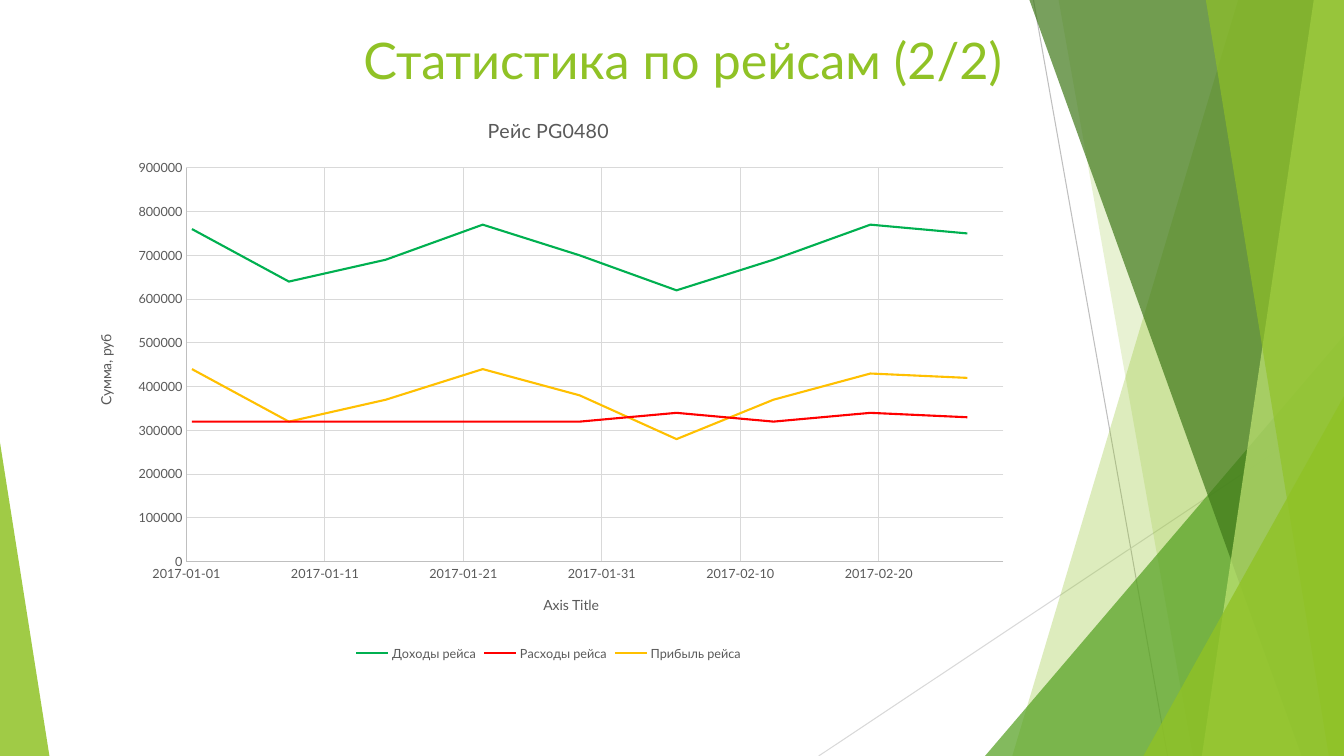
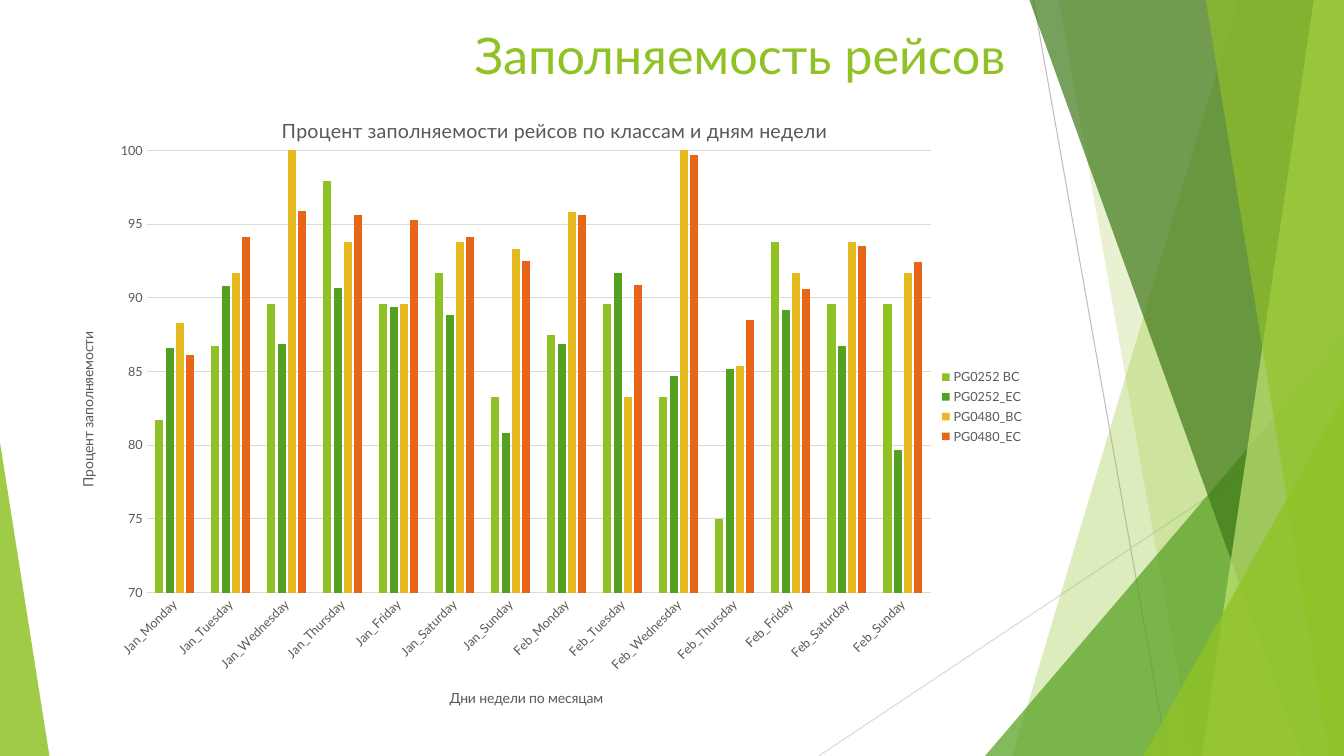
from dataclasses import dataclass

from lxml.etree import SubElement
from pptx import Presentation
from pptx.chart.data import CategoryChartData, XyChartData
from pptx.dml.color import RGBColor
from pptx.enum.chart import XL_CHART_TYPE as CT, XL_LEGEND_POSITION as LP, XL_TICK_MARK as TM
from pptx.enum.shapes import MSO_CONNECTOR as MC, MSO_SHAPE as MS
from pptx.enum.text import MSO_ANCHOR as VA, PP_ALIGN as AL
from pptx.oxml.ns import qn
from pptx.util import Inches, Pt

W, H = 13.33, 7.5


@dataclass(frozen=True)
class Theme:
    """Colours, font and type sizes of the deck."""
    font: str = "Lato"
    lime: str = "90C226"
    green: str = "54A021"
    forest: str = "3F7819"
    pale: str = "C0E474"
    gold: str = "E6B91E"
    orange: str = "E76618"
    income: str = "00B050"
    cost: str = "FF0000"
    profit: str = "FFC000"
    text: str = "595959"
    axis: str = "BFBFBF"
    grid: str = "D9D9D9"
    title: int = 36
    chart_title: int = 14
    axis_title: int = 10
    label: int = 9
    hairline: float = 0.75
    series_line: float = 1.5


T = Theme()

# Shards run from a top x to a bottom x and on to the right edge.
# Wedges are right triangles standing on the bottom edge: left, top, width, apex.
FACETS = [
    ("shard", (12.28, 10.04), T.lime, 30),
    ("shard", (10.5, 11.83), T.lime, 20),
    ("wedge", (9.77, 3.33, 3.56, 1), T.green, 72),
    ("shard", (10.21, 12.91), T.forest, 70),
    ("shard", (13.03, 11.92), T.pale, 70),
    ("shard", (11.96, 13.18), T.lime, 65),
    ("wedge", (11.34, 3.93, 1.99, 1), T.lime, 80),
    ("wedge", (0, 4.39, 0.49, 0), T.lime, 85),
]


def rgb(code):
    """Turn a hex code into a colour."""
    return RGBColor.from_string(code)


def style_font(font, size, color):
    """Apply the deck font in a size and colour."""
    font.name, font.size, font.bold = T.font, Pt(size), False
    font.color.rgb = rgb(color)


def write(tf, text, size=T.axis_title, color=T.text, align=None, anchor=None):
    """Put one formatted paragraph into a text frame."""
    p = tf.paragraphs[0]
    r = p.add_run()
    r.text = text
    style_font(r.font, size, color)
    if align is not None:
        p.alignment = align
    if anchor is not None:
        tf.vertical_anchor = anchor


def style_line(line, color, width=T.hairline):
    """Give a line its colour and width."""
    line.color.rgb = rgb(color)
    line.width = Pt(width)


def add_line(s, start, end, color):
    """Draw a thin straight line without a shadow."""
    ln = s.shapes.add_connector(MC.STRAIGHT, *map(Inches, start + end))
    style_line(ln.line, color)
    SubElement(ln._element.spPr, qn("a:effectLst"))


def add_facet(s, kind, place, color, alpha):
    """Draw one translucent shard or wedge."""
    if kind == "shard":
        top, bottom = place
        fb = s.shapes.build_freeform(Inches(top), 0, 1.0)
        corners = [(W, 0), (W, H), (bottom, H)]
        fb.add_line_segments([(Inches(x), Inches(y)) for x, y in corners], close=True)
        sp = fb.convert_to_shape()
    else:
        left, top, width, apex = place
        sp = s.shapes.add_shape(MS.ISOSCELES_TRIANGLE, *map(Inches, (left, top, width, H - top)))
        sp.adjustments[0] = apex
    sp.shadow.inherit = False
    sp.line.fill.background()
    sp.fill.solid()
    sp.fill.fore_color.rgb = rgb(color)
    clr = sp._element.spPr.find(qn("a:solidFill"))[0]
    SubElement(clr, qn("a:alpha")).set("val", str(alpha * 1000))


def add_base(prs, title, box):
    """Add a slide with the faceted backdrop and a right-aligned title."""
    s = prs.slides.add_slide(prs.slide_layouts[6])
    add_line(s, (10.25, 0), (11.58, H), T.axis)
    add_line(s, (W, 4.03), (8.12, H), T.grid)
    for facet in FACETS:
        add_facet(s, *facet)
    tf = s.shapes.add_textbox(*map(Inches, box)).text_frame
    tf.word_wrap = True
    write(tf, title, size=T.title, color=T.lime, align=AL.RIGHT, anchor=VA.TOP)
    return s


def place_part(el, **percent):
    """Fix a chart part at percentages of the chart box."""
    for old in el.findall(qn("c:layout")):
        el.remove(old)
    tx = el.find(qn("c:tx"))
    layout = el.makeelement(qn("c:layout"), {})
    el.insert(0 if tx is None else el.index(tx) + 1, layout)
    manual = SubElement(layout, qn("c:manualLayout"))
    if "w" in percent:
        SubElement(manual, qn("c:layoutTarget")).set("val", "inner")
    for key in ("x", "y"):
        SubElement(manual, qn(f"c:{key}Mode")).set("val", "edge")
    for key, value in percent.items():
        SubElement(manual, qn(f"c:{key}")).set("val", str(value / 100))


def style_axis(axis, title, at, line=None, grid=True, span=None, step=None, upright=False):
    """Format an axis: its title, labels, line, gridlines and scale."""
    axis.major_tick_mark = axis.minor_tick_mark = TM.NONE
    style_font(axis.tick_labels.font, T.label, T.text)
    if line:
        style_line(axis.format.line, line)
    else:
        axis.format.line.fill.background()
    axis.has_major_gridlines = grid
    if grid:
        style_line(axis.major_gridlines.format.line, T.grid)
    if span:
        axis.minimum_scale, axis.maximum_scale = span
    if step:
        axis.major_unit = step
    tf = axis.axis_title.text_frame
    write(tf, title)
    if upright:
        body = tf._txBody.find(qn("a:bodyPr"))
        body.set("rot", "-5400000")
        body.set("vert", "horz")
    place_part(axis.axis_title._element, x=at[0], y=at[1])


def add_chart(s, kind, box, data, title, at, plot, legend):
    """Add a chart with its title, plot area and legend in place."""
    ch = s.shapes.add_chart(kind, *map(Inches, box), data).chart
    style_font(ch.font, T.axis_title, T.text)
    ch.has_title = True
    write(ch.chart_title.text_frame, title, size=T.chart_title)
    ch.chart_title.include_in_layout = False
    place_part(ch.chart_title._element, x=at[0], y=at[1])
    place_part(ch._chartSpace.chart.plotArea, **dict(zip("xywh", plot)))
    ch.has_legend = True
    ch.legend.position = legend
    ch.legend.include_in_layout = False
    style_font(ch.legend.font, T.label, T.text)
    ch.plots[0].vary_by_categories = False
    return ch


def flight_slide(prs):
    """Build the slide with weekly income, cost and profit of a flight."""
    s = add_base(prs, "Статистика по рейсам (2/2)", (0.64, 0.24, 9.4, 0.73))
    first_day, last_day, departure = 42736, 42795, 0.4
    rows = [
        ("Доходы рейса", T.income, [760000, 640000, 690000, 770000, 700000,
                                    620000, 690000, 770000, 750000]),
        ("Расходы рейса", T.cost, [320000, 320000, 320000, 320000, 320000,
                                   340000, 320000, 340000, 330000]),
        ("Прибыль рейса", T.profit, [440000, 320000, 370000, 440000, 380000,
                                     280000, 370000, 430000, 420000]),
    ]
    data = XyChartData()
    for name, _, values in rows:
        ser = data.add_series(name)
        for week, value in enumerate(values):
            ser.add_data_point(round(first_day + departure + 7 * week, 1), value)
    ch = add_chart(s, CT.XY_SCATTER_LINES_NO_MARKERS, (0.74, 0.96, 9.4, 5.64), data,
                   "Рейс PG0480", (43.2, 2.8), (11.8, 12.5, 86.2, 69.3), LP.BOTTOM)
    for ser, (_, color, _) in zip(ch.plots[0].series, rows):
        ser.smooth = False
        style_line(ser.format.line, color, T.series_line)
    style_axis(ch.category_axis, "Axis Title", (49.2, 87.3), line=T.axis,
               span=(first_day, last_day), step=10)
    labels = ch.category_axis.tick_labels
    labels.number_format, labels.number_format_is_linked = "yyyy\\-mm\\-dd", False
    style_axis(ch.value_axis, "Сумма, руб", (2, 41.3), line=T.axis,
               span=(0, 900000), step=100000, upright=True)


def occupancy_slide(prs):
    """Build the slide with seat occupancy by class and weekday."""
    s = add_base(prs, "Заполняемость рейсов ", (0.8, 0.19, 9.4, 0.75))
    days = ["Monday", "Tuesday", "Wednesday", "Thursday", "Friday", "Saturday", "Sunday"]
    rows = [
        ("PG0252 BC", T.lime, [81.7, 86.7, 89.6, 97.9, 89.6, 91.7, 83.3,
                               87.5, 89.6, 83.3, 75, 93.8, 89.6, 89.6]),
        ("PG0252_EC", T.green, [86.6, 90.8, 86.9, 90.7, 89.4, 88.8, 80.8,
                                86.9, 91.7, 84.7, 85.2, 89.2, 86.7, 79.7]),
        ("PG0480_BC", T.gold, [88.3, 91.7, 100, 93.8, 89.6, 93.8, 93.3,
                               95.8, 83.3, 100, 85.4, 91.7, 93.8, 91.7]),
        ("PG0480_EC", T.orange, [86.1, 94.1, 95.9, 95.6, 95.3, 94.1, 92.5,
                                 95.6, 90.9, 99.7, 88.5, 90.6, 93.5, 92.4]),
    ]
    data = CategoryChartData()
    data.categories = [f"{month}_{day}" for month in ("Jan", "Feb") for day in days]
    for name, _, values in rows:
        data.add_series(name, values)
    ch = add_chart(s, CT.COLUMN_CLUSTERED, (0.74, 0.95, 9.52, 6.17), data,
                   "Процент заполняемости рейсов по классам и дням недели",
                   (21.2, 2.7), (7.5, 8.8, 81.7, 71.1), LP.RIGHT)
    bars = ch.plots[0]
    bars.gap_width, bars.overlap = 219, -27
    for ser, (_, color, _) in zip(bars.series, rows):
        ser.format.fill.solid()
        ser.format.fill.fore_color.rgb = rgb(color)
    style_axis(ch.category_axis, "Дни недели по месяцам", (38.8, 94.9), line=T.grid, grid=False)
    label_body = ch.category_axis._element.find(qn("c:txPr")).find(qn("a:bodyPr"))
    label_body.set("rot", "-2700000")
    style_axis(ch.value_axis, "Процент заполняемости", (0.1, 37.5),
               span=(70, 100), step=5, upright=True)


prs = Presentation()
prs.slide_width, prs.slide_height = Inches(W), Inches(H)
flight_slide(prs)
occupancy_slide(prs)
prs.save("out.pptx")
